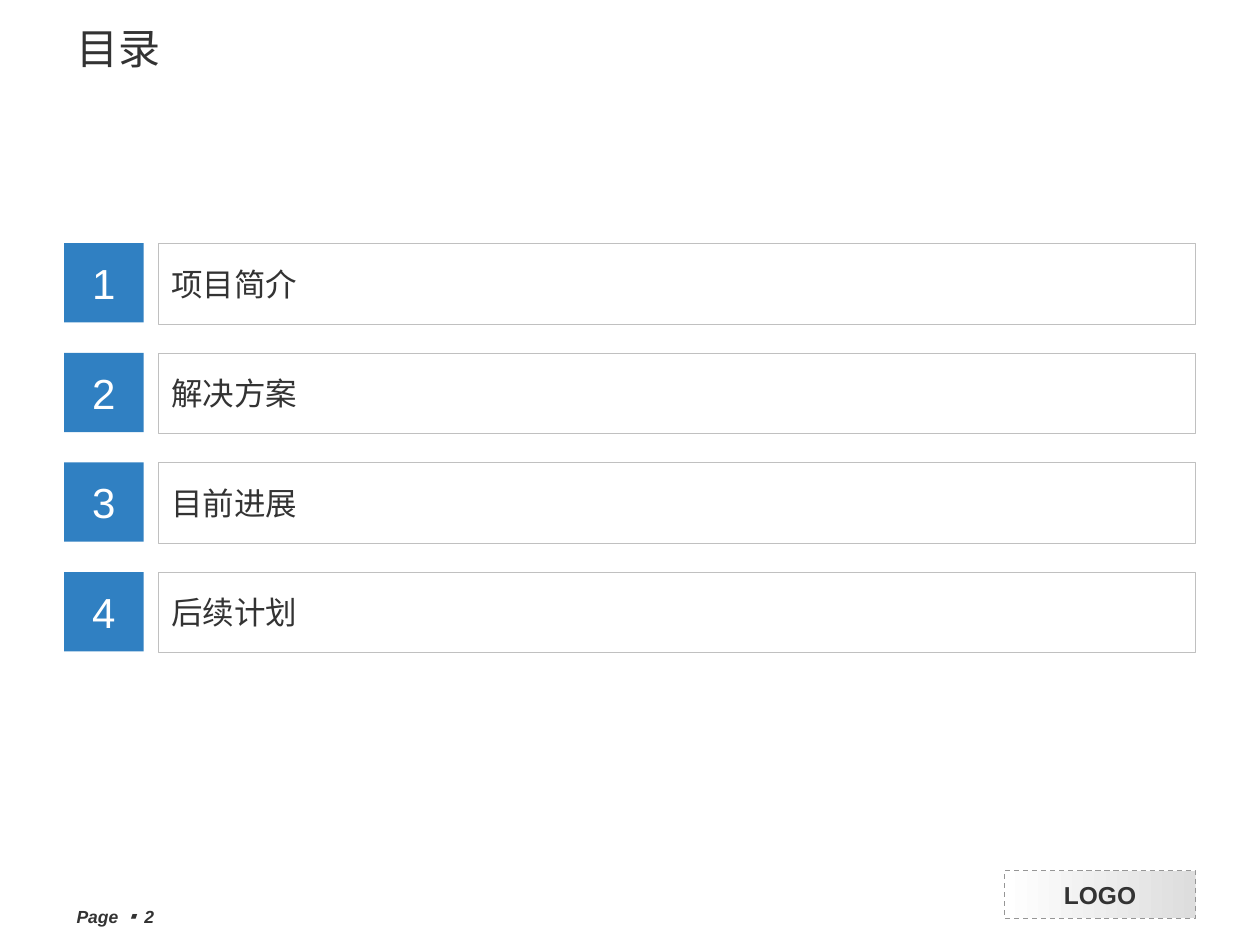
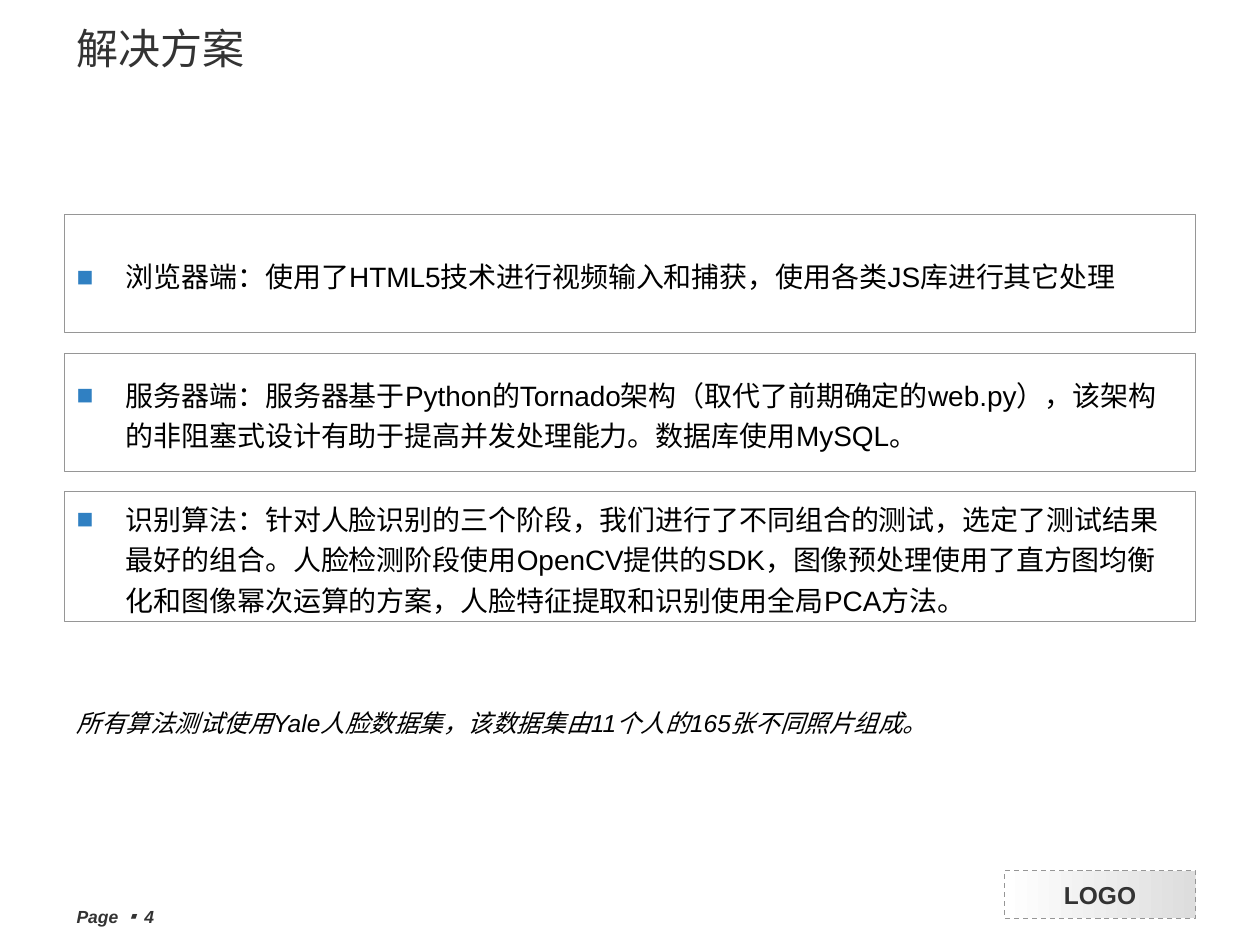
"""Build the contents slide and the solution slide of a face recognition project."""
from lxml import etree
from pptx import Presentation
from pptx.dml.color import RGBColor
from pptx.enum import dml, shapes, text
from pptx.oxml import ns
from pptx.util import Inches, Pt

BLUE = RGBColor(0x30, 0x80, 0xC2)
DARK = RGBColor(0x33, 0x33, 0x33)
GREY = RGBColor(0x96, 0x96, 0x96)
SILVER = RGBColor(0xC0, 0xC0, 0xC0)
PALE = RGBColor(0xDD, 0xDD, 0xDD)
WHITE = RGBColor(0xFF, 0xFF, 0xFF)
BLACK = RGBColor(0, 0, 0)
LATIN = "Arial"
CHINESE = "Noto Sans CJK SC"
LEFT = 0.51
RIGHT = 9.49


def write(shape, runs, size, color, font=LATIN, align=text.PP_ALIGN.LEFT,
          anchor=text.MSO_ANCHOR.MIDDLE, wrap=True, spacing=None, bullet=False):
    """Fill a shape with one paragraph and return the paragraph."""
    frame = shape.text_frame
    frame.word_wrap = wrap
    frame.vertical_anchor = anchor
    paragraph = frame.paragraphs[0]
    paragraph.alignment = align
    if spacing:
        paragraph.line_spacing = spacing
    properties = paragraph._p.get_or_add_pPr()
    if bullet:
        properties.set("marL", str(Inches(0.39)))
        properties.set("indent", str(-Inches(0.39)))
        bullet_color = etree.SubElement(properties, ns.qn("a:buClr"))
        etree.SubElement(bullet_color, ns.qn("a:srgbClr"), val=str(BLUE))
        etree.SubElement(properties, ns.qn("a:buFont"), typeface=LATIN)
        etree.SubElement(properties, ns.qn("a:buChar"), char="■")
    for content in runs:
        paragraph.add_run().text = content
    paragraph.font.size = Pt(size)
    paragraph.font.color.rgb = color
    paragraph.font.name = font
    defaults = properties.find(ns.qn("a:defRPr"))
    etree.SubElement(defaults, ns.qn("a:ea"), typeface=CHINESE)
    return paragraph


def add_box(slide, left, top, width, height, fill=None, line=None, line_width=0.25):
    """Add a plain rectangle with an optional fill and outline."""
    shape = slide.shapes.add_shape(
        shapes.MSO_SHAPE.RECTANGLE, Inches(left), Inches(top), Inches(width), Inches(height))
    shape.shadow.inherit = False
    if fill:
        shape.fill.solid()
        shape.fill.fore_color.rgb = fill
    else:
        shape.fill.background()
    if line:
        shape.line.color.rgb = line
        shape.line.width = Pt(line_width)
    else:
        shape.line.fill.background()
    return shape


presentation = Presentation()
presentation.slide_width = Inches(10)
presentation.slide_height = Inches(7.5)

slides = []
for title, page in [("目录", "2"), ("解决方案", "4")]:
    slide = presentation.slides.add_slide(presentation.slide_layouts[5])
    slides.append(slide)

    heading = slide.shapes.title
    heading.left, heading.top = Inches(LEFT), Inches(0)
    heading.width, heading.height = Inches(6.38), Inches(0.76)
    write(heading, [title], 24, DARK)

    logo = add_box(slide, 7.97, 6.91, 1.52, 0.38, line=GREY, line_width=0.75)
    logo.line.dash_style = dml.MSO_LINE.DASH
    logo.fill.gradient()
    logo.fill.gradient_angle = 180
    for stop, color in zip(logo.fill.gradient_stops, [PALE, WHITE]):
        stop.color.rgb = color
    paragraph = write(logo, ["LOGO"], 14, DARK, align=text.PP_ALIGN.CENTER, wrap=False)
    paragraph.font.bold = True

    footer = slide.shapes.add_textbox(Inches(LEFT), Inches(7.14), Inches(1.57), Inches(0.22))
    paragraph = write(footer, ["Page ", "▪ ", page], 10, DARK, anchor=text.MSO_ANCHOR.TOP)
    paragraph.font.bold = True
    paragraph.font.italic = True
    paragraph.runs[1].font.name = "Noto Sans CJK JP"

contents, solution = slides

for index, topic in enumerate(["项目简介", "解决方案", "目前进展", "后续计划"]):
    top = 1.93 + 0.87 * index
    topic_box = add_box(contents, 1.26, top, RIGHT - 1.26, 0.64, line=SILVER)
    write(topic_box, [topic], 18, DARK, font=CHINESE)
    number_box = add_box(contents, LEFT, top, 0.63, 0.63, fill=BLUE)
    write(number_box, [str(index + 1)], 24, WHITE, align=text.PP_ALIGN.CENTER, wrap=False)

parts = [
    (0.94, "浏览器端：使用了HTML5技术进行视频输入和捕获，使用各类JS库进行其它处理"),
    (0.94, "服务器端：服务器基于Python的Tornado架构（取代了前期确定的web.py），"
           "该架构的非阻塞式设计有助于提高并发处理能力。数据库使用MySQL。"),
    (1.03, "识别算法：针对人脸识别的三个阶段，我们进行了不同组合的测试，选定了测试结果最好的组合。"
           "人脸检测阶段使用OpenCV提供的SDK，图像预处理使用了直方图均衡化和图像幂次运算的方案，"
           "人脸特征提取和识别使用全局PCA方法。"),
]
top = 1.7
for height, description in parts:
    part_box = add_box(solution, LEFT, top, RIGHT - LEFT, height, line=GREY)
    write(part_box, [description], 16, BLACK, spacing=1.2, bullet=True)
    top += height + 0.16

note = solution.shapes.add_textbox(Inches(LEFT), Inches(5.52), Inches(RIGHT - LEFT), Inches(0.38))
paragraph = write(note, ["所有算法测试使用Yale人脸数据集，该数据集由11个人的165张不同照片组成。"],
                  14, BLACK, anchor=text.MSO_ANCHOR.TOP, spacing=1.2)
paragraph.font.italic = True

presentation.save("out.pptx")
